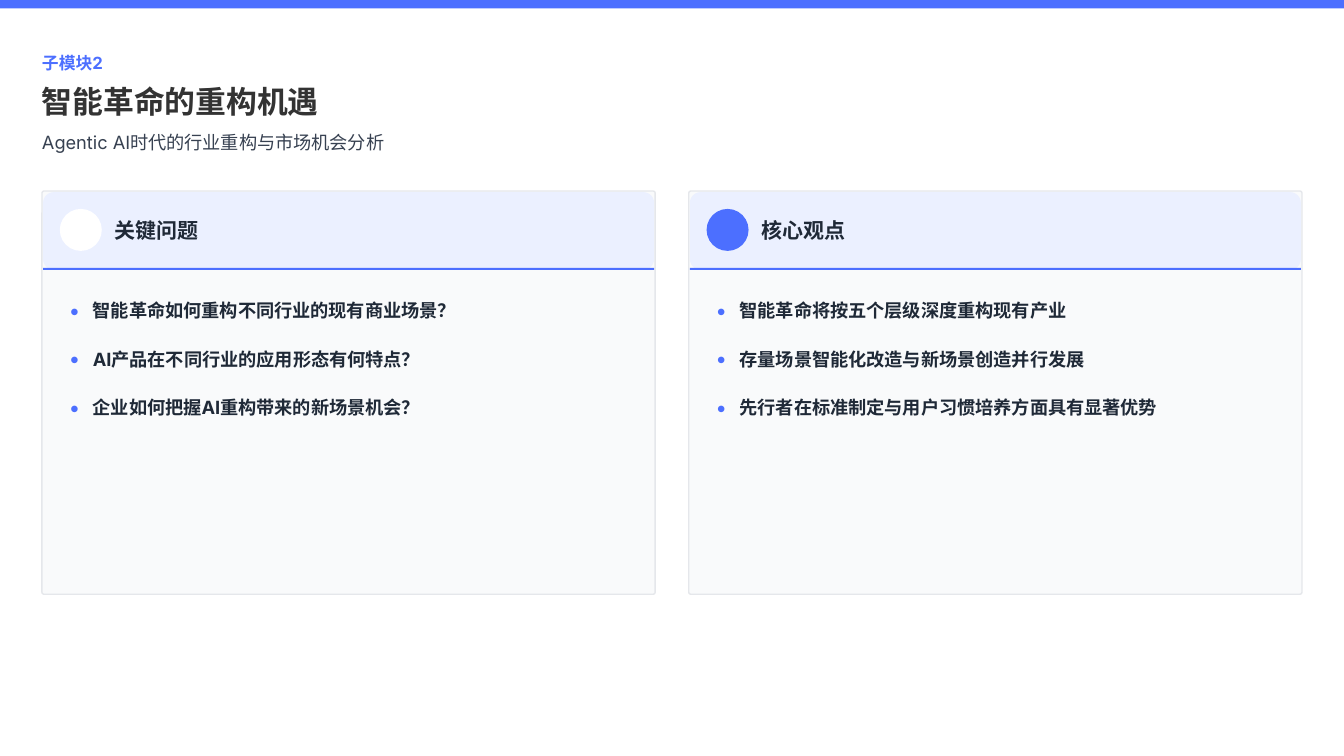
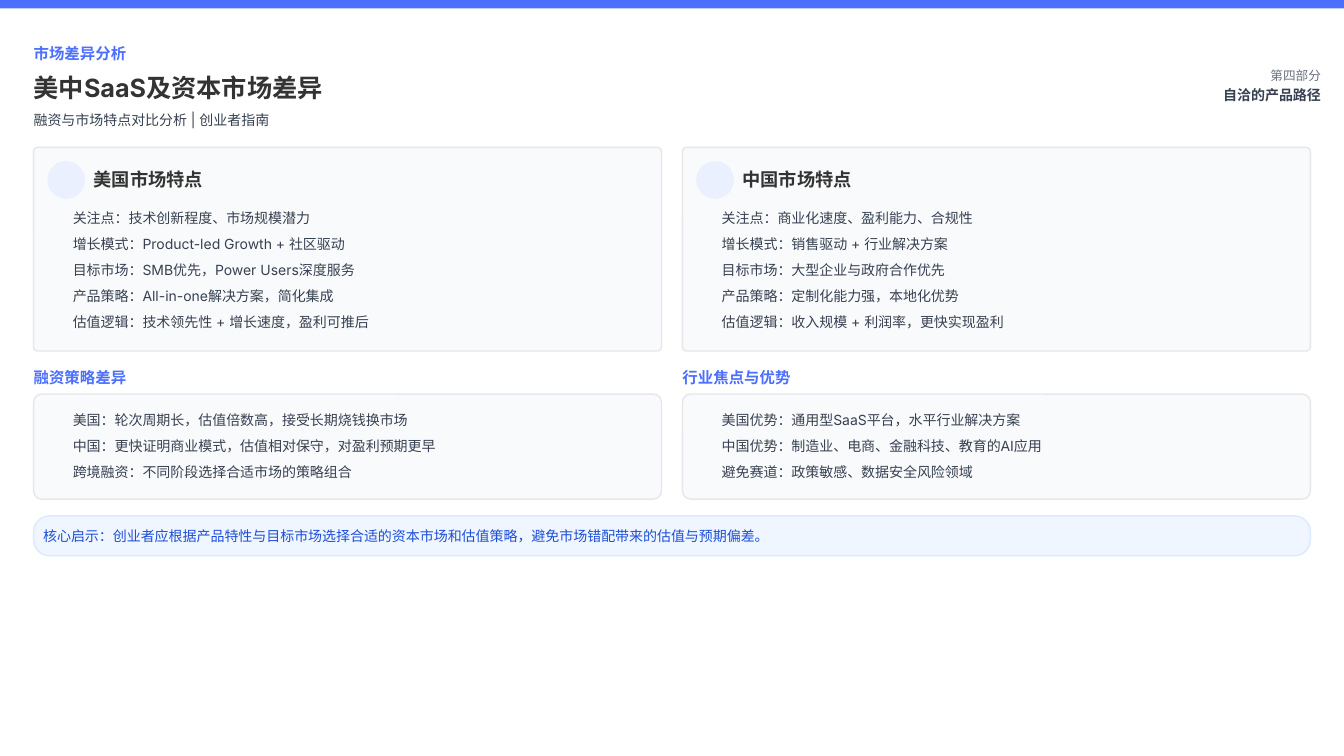
from lxml import etree
from pptx import Presentation
from pptx.dml.color import RGBColor
from pptx.enum import shapes, text
from pptx.oxml.ns import qn
from pptx.util import Pt

C = {"blue": "4C6FFF", "title": "333333", "body": "374151", "dark": "1F2937",
     "muted": "6B7280", "card": "F9FAFB", "edge": "E5E7EB", "tint": "EBF0FF",
     "white": "FFFFFF", "note": "EFF6FF", "note_edge": "DBEAFE", "note_text": "1D4ED8"}
FONT = "Inter"
RECT, ROUND, OVAL = (shapes.MSO_SHAPE.RECTANGLE, shapes.MSO_SHAPE.ROUNDED_RECTANGLE,
                     shapes.MSO_SHAPE.OVAL)
LEFT, RIGHT = text.PP_ALIGN.LEFT, text.PP_ALIGN.RIGHT


def add_shape(s, kind, box, fill, line=None, radius=None):
    sp = s.shapes.add_shape(kind, *[Pt(v) for v in box])
    sp.shadow.inherit = False
    sp.fill.solid()
    sp.fill.fore_color.rgb = RGBColor.from_string(C[fill])
    if line:
        sp.line.color.rgb = RGBColor.from_string(C[line])
        sp.line.width = Pt(1)
    else:
        sp.line.fill.background()
    if radius:
        sp.adjustments[0] = radius / min(box[2:])
    return sp


def write(sp, box, lines, size, color, bold=False, align=LEFT, pitch=None, bullet=False):
    """Place a text shape; with a pitch, lines run from the top at that spacing."""
    sp.left, sp.top, sp.width, sp.height = [Pt(v) for v in box]
    tf = sp.text_frame
    tf.word_wrap = True
    tf.auto_size = text.MSO_AUTO_SIZE.NONE
    tf.margin_left = tf.margin_right = tf.margin_top = tf.margin_bottom = 0
    tf.vertical_anchor = text.MSO_ANCHOR.TOP if pitch else text.MSO_ANCHOR.MIDDLE
    for i, line in enumerate(lines):
        p = tf.add_paragraph() if i else tf.paragraphs[0]
        p.alignment = align
        p.space_before = p.space_after = Pt(0)
        if pitch:
            p.line_spacing = Pt(pitch)
        pPr = p._p.get_or_add_pPr()
        indent = Pt(17.3) if bullet else 0
        pPr.set("marL", str(indent))
        pPr.set("indent", str(-indent))
        if bullet:
            clr = etree.SubElement(pPr, qn("a:buClr"))
            etree.SubElement(clr, qn("a:srgbClr"), val=C["blue"])
            etree.SubElement(pPr, qn("a:buSzPct"), val="115000")
            etree.SubElement(pPr, qn("a:buFont"), typeface=FONT)
            etree.SubElement(pPr, qn("a:buChar"), char="•")
        else:
            etree.SubElement(pPr, qn("a:buNone"))
        r = p.add_run()
        r.text = line
        r.font.size, r.font.bold, r.font.name = Pt(size), bold, FONT
        r.font.color.rgb = RGBColor.from_string(C[color])
        etree.SubElement(r._r.get_or_add_rPr(), qn("a:ea"), typeface=FONT)


prs = Presentation()
prs.slide_width, prs.slide_height = Pt(960), Pt(540)

# Shared top band and heading: layout, left edge, then (text, size, middle) per line
headings = [
    (3, 30, ("子模块2", 12, 45), ("智能革命的重构机遇", 22, 72),
     ("Agentic AI时代的行业重构与市场机会分析", 13, 101.5)),
    (4, 24, ("市场差异分析", 11, 38), ("美中SaaS及资本市场差异", 18, 62.7),
     ("融资与市场特点对比分析 | 创业者指南", 10, 85.7)),
]
for layout, left, kicker, title, subtitle in headings:
    s = prs.slides.add_slide(prs.slide_layouts[layout])
    add_shape(s, RECT, (0, 0, 960, 6), "blue")
    for (line, size, mid), color, bold in ((kicker, "blue", True), (title, "title", True),
                                           (subtitle, "body", False)):
        sp = s.shapes.title if color == "title" else s.shapes.add_textbox(0, 0, 0, 0)
        write(sp, (left, mid - 15, 600, 30), [line], size, color, bold)
questions, markets = prs.slides

# Slide 1: two cards with a header strip and a bullet list
cards = [
    ("关键问题", "white", ["智能革命如何重构不同行业的现有商业场景？",
                       "AI产品在不同行业的应用形态有何特点？",
                       "企业如何把握AI重构带来的新场景机会？"]),
    ("核心观点", "blue", ["智能革命将按五个层级深度重构现有产业",
                      "存量场景智能化改造与新场景创造并行发展",
                      "先行者在标准制定与用户习惯培养方面具有显著优势"]),
]
s = questions
for i, (name, dot, points) in enumerate(cards):
    x = 30 + 462 * i
    add_shape(s, ROUND, (x, 136.5, 438, 288), "card", "edge", 1.5)
    add_shape(s, ROUND, (x + 0.75, 137.25, 436.5, 55.5), "tint", radius=7.75)
    add_shape(s, RECT, (x + 0.75, 191.25, 436.5, 1.5), "blue")
    add_shape(s, OVAL, (x + 12.75, 149.25, 30, 30), dot)
    write(s.shapes.add_textbox(0, 0, 0, 0), (x + 51.75, 149.5, 300, 30), [name],
          15, "dark", True)
    write(s.placeholders[1 + i], (x + 19, 195, 400, 110), points, 13, "dark", True,
          pitch=34.6, bullet=True)

# Slide 2: part label at the right
s = markets
for line, size, color, bold, mid in (("第四部分", 9, "muted", False, 54),
                                     ("自洽的产品路径", 10, "body", True, 67.5)):
    write(s.shapes.add_textbox(0, 0, 0, 0), (743.5, mid - 10, 200, 20), [line],
          size, color, bold, RIGHT)

# Two columns: market card above, titled strategy card below
columns = [
    ("美国市场特点",
     ["关注点：技术创新程度、市场规模潜力", "增长模式：Product-led Growth + 社区驱动",
      "目标市场：SMB优先，Power Users深度服务", "产品策略：All-in-one解决方案，简化集成",
      "估值逻辑：技术领先性 + 增长速度，盈利可推后"],
     "融资策略差异",
     ["美国：轮次周期长，估值倍数高，接受长期烧钱换市场",
      "中国：更快证明商业模式，估值相对保守，对盈利预期更早",
      "跨境融资：不同阶段选择合适市场的策略组合"]),
    ("中国市场特点",
     ["关注点：商业化速度、盈利能力、合规性", "增长模式：销售驱动 + 行业解决方案",
      "目标市场：大型企业与政府合作优先", "产品策略：定制化能力强，本地化优势",
      "估值逻辑：收入规模 + 利润率，更快实现盈利"],
     "行业焦点与优势",
     ["美国优势：通用型SaaS平台，水平行业解决方案",
      "中国优势：制造业、电商、金融科技、教育的AI应用",
      "避免赛道：政策敏感、数据安全风险领域"]),
]
for i, (market, traits, topic, notes) in enumerate(columns):
    x = 24 + 463.5 * i
    add_shape(s, ROUND, (x, 105.25, 448.5, 145.5), "card", "edge", 3)
    add_shape(s, OVAL, (x + 9.75, 115, 27, 27), "tint")
    add_shape(s, ROUND, (x, 281.5, 448.5, 75), "card", "edge", 5.75)
    for line, size, color, dx, mid in ((market, 13, "title", 43, 128.25),
                                       (topic, 11, "blue", 0, 269.5)):
        write(s.shapes.add_textbox(0, 0, 0, 0), (x + dx, mid - 10, 300, 20), [line],
              size, color, True)
    for k, (lines, top) in enumerate(((traits, 143.5), (notes, 287.5))):
        write(s.placeholders[1 + 2 * i + k], (x + 28, top, 410, 18.5 * len(lines)), lines,
              10, "body", pitch=18.5)

# Closing note
box = (24, 368.5, 912, 28.5)
sp = add_shape(s, ROUND, box, "note", "note_edge", 11.4)
write(sp, box, ["核心启示：创业者应根据产品特性与目标市场选择合适的资本市场和估值策略，"
                "避免市场错配带来的估值与预期偏差。"], 10, "note_text")
sp.text_frame.margin_left = Pt(3.5)

# Bring placeholder text in front of the cards
for s in prs.slides:
    for sp in list(s.placeholders):
        s.shapes._spTree.append(sp._element)

prs.save("out.pptx")
